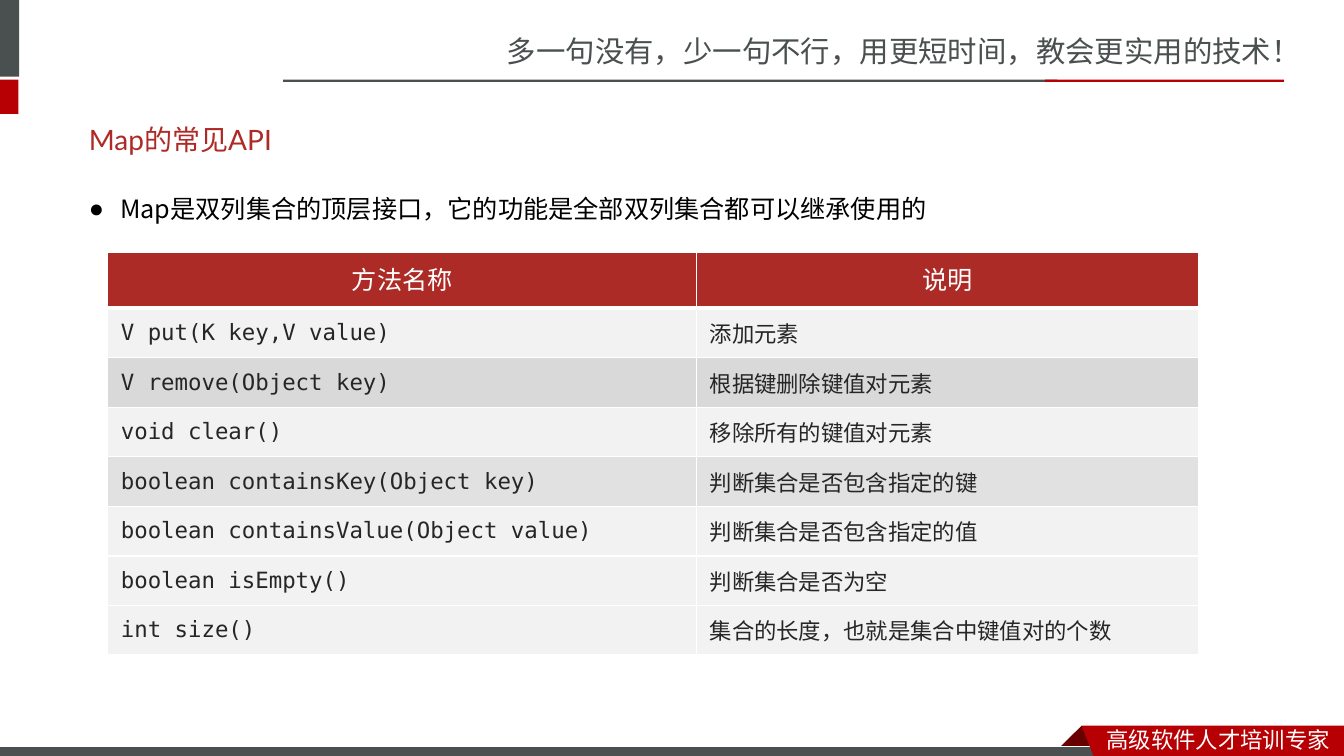
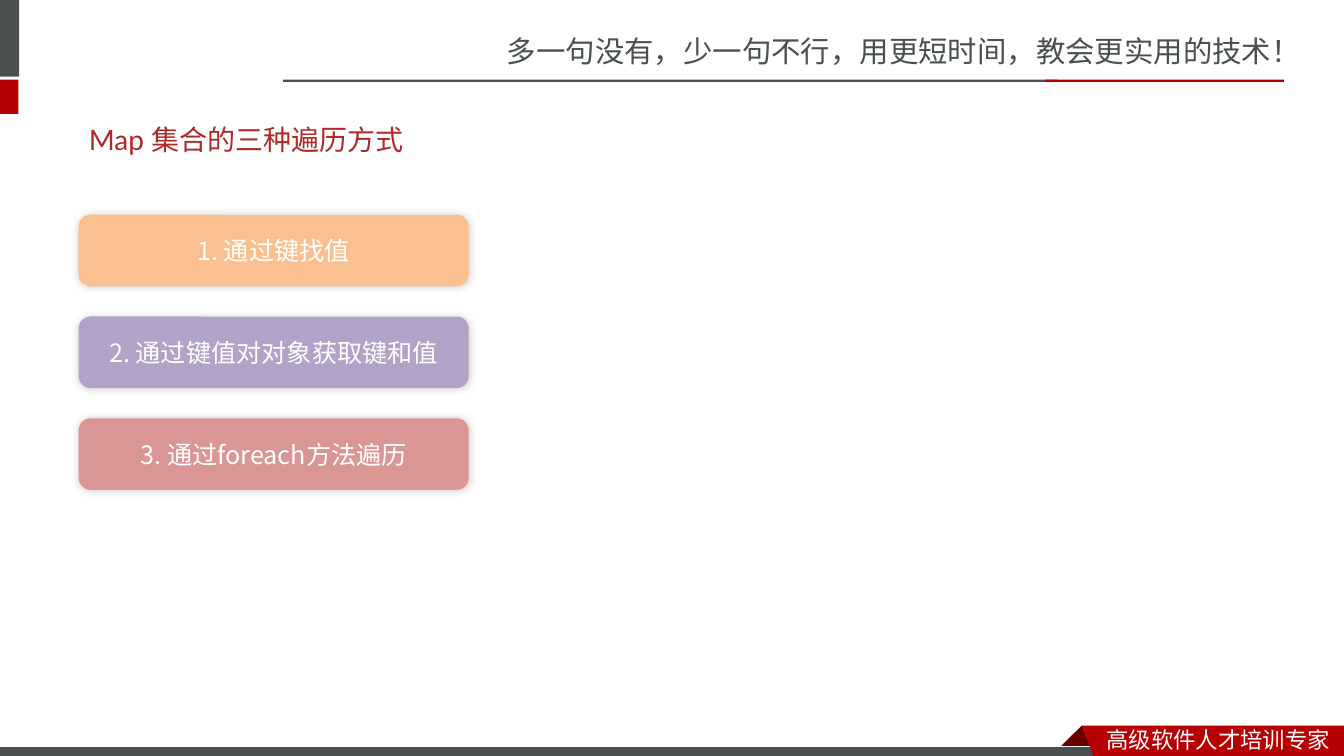
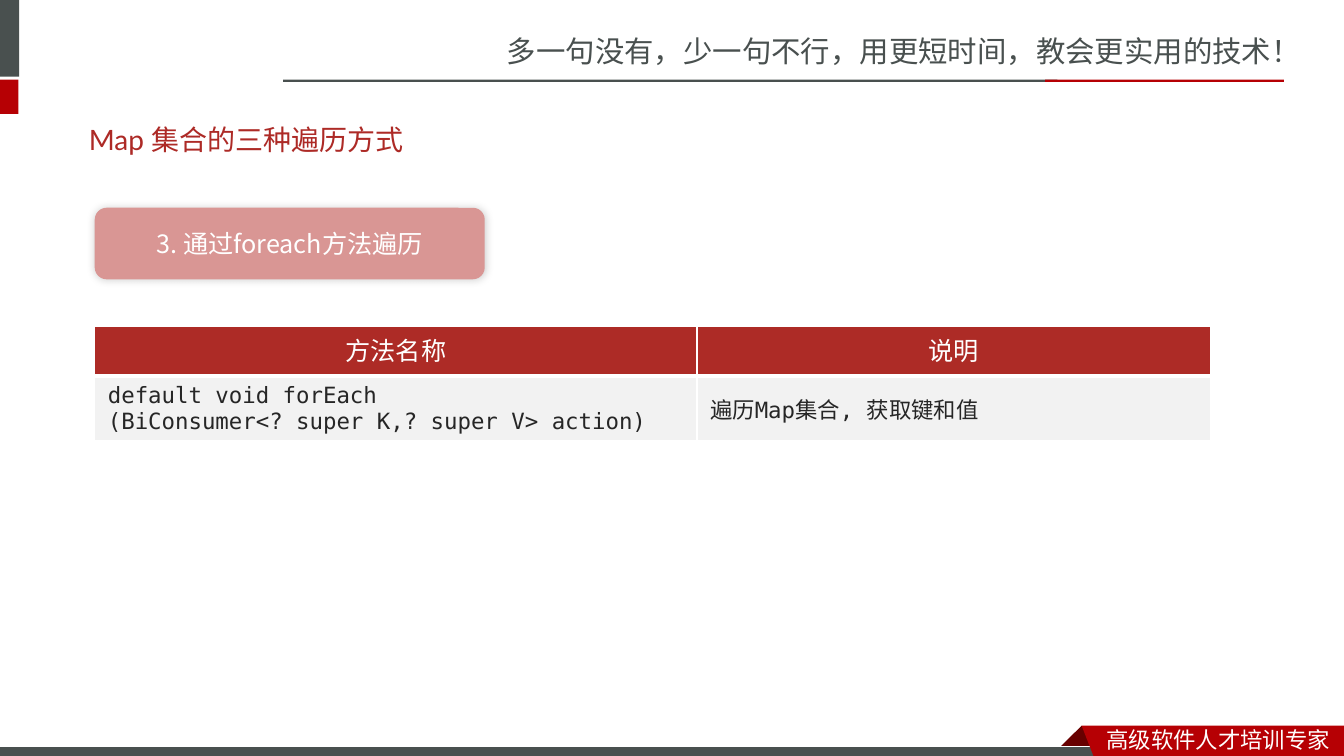
from lxml import etree
from pptx import Presentation
from pptx.dml.color import RGBColor
from pptx.enum.shapes import MSO_SHAPE
from pptx.enum.text import MSO_ANCHOR, MSO_AUTO_SIZE, PP_ALIGN
from pptx.oxml.ns import qn
from pptx.util import Pt

RECTANGLE, ROUNDED = MSO_SHAPE.RECTANGLE, MSO_SHAPE.ROUNDED_RECTANGLE
LEFT, CENTER = PP_ALIGN.LEFT, PP_ALIGN.CENTER
TOP, MIDDLE = MSO_ANCHOR.TOP, MSO_ANCHOR.MIDDLE
NO_AUTOFIT = MSO_AUTO_SIZE.NONE

WHITE = RGBColor(0xFF, 0xFF, 0xFF)
BLACK = RGBColor(0x00, 0x00, 0x00)
SLATE = RGBColor(0x49, 0x50, 0x4F)
BRIGHT_RED = RGBColor(0xB6, 0x00, 0x04)
DARK_RED = RGBColor(0x68, 0x00, 0x00)
TITLE_RED = RGBColor(0xAD, 0x2A, 0x26)
HEADER_RED = RGBColor(0xAD, 0x2B, 0x26)
INK = RGBColor(0x26, 0x26, 0x26)
LIGHT = RGBColor(0xF2, 0xF2, 0xF2)
GRAY = RGBColor(0xD9, 0xD9, 0xD9)
PALE_GRAY = RGBColor(0xE1, 0xE1, 0xE1)
ORANGE = RGBColor(0xFA, 0xC0, 0x90)
PURPLE = RGBColor(0xB3, 0xA2, 0xC7)
ROSE = RGBColor(0xD9, 0x96, 0x94)

SANS_SC, SANS_JP = "Noto Sans CJK SC", "Noto Sans CJK JP"
MONO, LATO, CALIBRI = "DejaVu Sans Mono", "Lato", "Calibri"

TITLE_ONLY, TITLE_AND_BODY = 5, 1
SLOGAN = "多一句没有，少一句不行，用更短时间，教会更实用的技术！"
FOOTER = "高级软件人才培训专家"
BARS = [
    (-4.3, 0, 18, 54.7, SLATE),
    (-4.3, 56.9, 17.5, 24.5, BRIGHT_RED),
    (202.3, 56.9, 553, 1.6, SLATE),
    (746.6, 56.9, 170.6, 1.6, BRIGHT_RED),
]
RIBBON_FOLD = [(772.6, 518.4), (788.4, 534.2), (787.7, 535), (757.4, 535), (756.7, 534.2)]
RIBBON = [(772.6, 518.4), (960, 518.4), (960, 542.9), (781.9, 542.2)]

API_TITLE = "Map的常见API"
API_POINT = "Map是双列集合的顶层接口，它的功能是全部双列集合都可以继承使用的"
LOOP_TITLE = "Map 集合的三种遍历方式"
HEADINGS = ("方法名称", "说明")
API_METHODS = [
    ("V put(K key,V value)", "添加元素"),
    ("V remove(Object key)", "根据键删除键值对元素"),
    ("void clear()", "移除所有的键值对元素"),
    ("boolean containsKey(Object key)", "判断集合是否包含指定的键"),
    ("boolean containsValue(Object value)", "判断集合是否包含指定的值"),
    ("boolean isEmpty()", "判断集合是否为空"),
    ("int size()", "集合的长度，也就是集合中键值对的个数"),
]
API_FILLS = [LIGHT, GRAY, LIGHT, PALE_GRAY, LIGHT, LIGHT, LIGHT]
FOREACH_METHODS = [
    ("default void forEach\n(BiConsumer<? super K,? super V> action)", "遍历Map集合, 获取键和值"),
]
LOOP_WAYS = [
    ("1. 通过键找值", ORANGE),
    ("2. 通过键值对对象获取键和值", PURPLE),
    ("3. 通过foreach方法遍历", ROSE),
]
BUTTON_WIDTH, BUTTON_HEIGHT, BUTTON_STEP = 278.6, 51.1, 72.7


def place(shape, left, top, width, height):
    shape.left, shape.top, shape.width, shape.height = map(Pt, (left, top, width, height))


def style_text(text_frame, name, size, color, alignment=LEFT):
    for paragraph in text_frame.paragraphs:
        paragraph.alignment = alignment
        font = paragraph.font
        font.name, font.size, font.color.rgb = name, Pt(size), color
        defaults = paragraph._p.pPr.find(qn("a:defRPr"))
        east_asian = etree.SubElement(defaults, qn("a:ea"))
        east_asian.set("typeface", name if name in (SANS_SC, SANS_JP) else SANS_JP)


def paint(shape, color):
    shape.shadow.inherit = False
    shape.fill.solid()
    shape.fill.fore_color.rgb = color
    shape.line.fill.background()


def add_box(slide, kind, left, top, width, height, color):
    shape = slide.shapes.add_shape(kind, Pt(left), Pt(top), Pt(width), Pt(height))
    paint(shape, color)
    return shape


def add_outline(slide, points, color):
    corners = [(Pt(x), Pt(y)) for x, y in points]
    builder = slide.shapes.build_freeform(*corners[0], scale=1.0)
    builder.add_line_segments(corners[1:], close=True)
    paint(builder.convert_to_shape(), color)


def add_label(slide, text, left, top, width, height, size, color):
    label = slide.shapes.add_textbox(Pt(left), Pt(top), Pt(width), Pt(height))
    label.text_frame.word_wrap = True
    label.text_frame.text = text
    style_text(label.text_frame, SANS_SC, size, color)


def decorate_master(presentation, slide):
    add_label(slide, SLOGAN, 355, 20.2, 605.5, 33.8, 21, SLATE)
    for bar in BARS:
        add_box(slide, RECTANGLE, *bar)
    add_outline(slide, RIBBON_FOLD, DARK_RED)
    base = add_box(slide, RECTANGLE, -0.7, 533.5, 792, 8.6, SLATE)
    base.line.color.rgb = WHITE
    base.line.width = Pt(0.75)
    add_outline(slide, RIBBON, BRIGHT_RED)
    add_label(slide, FOOTER, 783.4, 514.8, 176.6, 26.6, 16, WHITE)
    decorations = [shape for shape in slide.shapes if not shape.is_placeholder]
    for number, shape in enumerate(decorations, start=100):
        shape.element.nvSpPr.cNvPr.set("id", str(number))
        presentation.slide_master.shapes.element.append(shape.element)


def add_slide(presentation, layout, title, title_width):
    slide = presentation.slides.add_slide(presentation.slide_layouts[layout])
    shape = slide.shapes.title
    place(shape, 56.2, 79.2, title_width, 41)
    frame = shape.text_frame
    frame.text = title
    frame.auto_size, frame.vertical_anchor = NO_AUTOFIT, MIDDLE
    style_text(frame, LATO, 20, TITLE_RED)
    return slide


def fill_body(slide, text):
    body = slide.placeholders[1]
    place(body, 56.2, 113, 855.4, 45.4)
    frame = body.text_frame
    frame.text = text
    frame.auto_size, frame.vertical_anchor = NO_AUTOFIT, TOP
    style_text(frame, SANS_JP, 18, BLACK)
    paragraph = frame.paragraphs[0]
    paragraph.line_spacing, paragraph.space_before = 2.0, Pt(0)
    properties = paragraph._p.pPr
    properties.set("marL", str(Pt(22.5)))
    properties.set("indent", str(-Pt(22.5)))
    bullet = etree.Element(qn("a:buChar"), char="●")
    properties.find(qn("a:defRPr")).addprevious(bullet)


def add_button(slide, text, color, left, top):
    button = add_box(slide, ROUNDED, left, top, BUTTON_WIDTH, BUTTON_HEIGHT, color)
    button.text_frame.text = text
    button.text_frame.vertical_anchor = MIDDLE
    style_text(button.text_frame, SANS_JP, 18, WHITE, CENTER)
    effects = button.element.spPr.find(qn("a:effectLst"))
    shadow = etree.SubElement(effects, qn("a:outerShdw"), blurRad=str(Pt(6)), dist="0", dir="13500000")
    tint = etree.SubElement(shadow, qn("a:srgbClr"), val=str(BLACK))
    etree.SubElement(tint, qn("a:alpha"), val="20000")


def set_borders(cell, top, bottom):
    properties = cell._tc.get_or_add_tcPr()
    for index, (side, width) in enumerate([("L", 1), ("R", 1), ("T", top), ("B", bottom)]):
        line = etree.Element(qn("a:ln" + side), w=str(Pt(width)))
        fill = etree.SubElement(line, qn("a:solidFill"))
        etree.SubElement(fill, qn("a:srgbClr"), val=str(WHITE))
        properties.insert(index, line)


def add_method_table(slide, methods, fills, left, top, widths, heights, heading_font, note_font):
    rows = [HEADINGS, *methods]
    table = slide.shapes.add_table(
        len(rows), len(widths), Pt(left), Pt(top), Pt(sum(widths)), Pt(sum(heights))
    ).table
    table.first_row = table.horz_banding = False
    for column, width in zip(table.columns, widths):
        column.width = Pt(width)
    for index, (texts, height, color) in enumerate(zip(rows, heights, [HEADER_RED, *fills])):
        table.rows[index].height = Pt(height)
        for column, text in enumerate(texts):
            cell = table.cell(index, column)
            cell.text = text
            cell.vertical_anchor = MIDDLE
            cell.fill.solid()
            cell.fill.fore_color.rgb = color
            if index == 0:
                style_text(cell.text_frame, heading_font, 18, WHITE, CENTER)
                cell.text_frame.paragraphs[0].line_spacing = Pt(24)
            else:
                style_text(cell.text_frame, (MONO, note_font)[column], 16, INK)
                cell.margin_left = cell.margin_right = Pt(9.4)
                cell.margin_top = cell.margin_bottom = Pt(4.8)
            set_borders(cell, 3 if index == 1 else 1, 3 if index == 0 else 1)


def main():
    presentation = Presentation()
    presentation.slide_width, presentation.slide_height = Pt(960), Pt(540)

    api_slide = add_slide(presentation, TITLE_AND_BODY, API_TITLE, 176.4)
    decorate_master(presentation, api_slide)
    fill_body(api_slide, API_POINT)
    add_method_table(api_slide, API_METHODS, API_FILLS, 77, 180, (420.6, 358.9),
                     [40.2] + [35.4] * len(API_METHODS), CALIBRI, SANS_JP)

    ways_slide = add_slide(presentation, TITLE_ONLY, LOOP_TITLE, BUTTON_WIDTH)
    for index, (text, color) in enumerate(LOOP_WAYS):
        add_button(ways_slide, text, color, 56.2, 153.4 + index * BUTTON_STEP)

    foreach_slide = add_slide(presentation, TITLE_ONLY, LOOP_TITLE, BUTTON_WIDTH)
    add_button(foreach_slide, *LOOP_WAYS[-1], 67.7, 148.4)
    add_method_table(foreach_slide, FOREACH_METHODS, [LIGHT], 67.7, 233.4, (430.2, 366.6),
                     [35, 45], MONO, MONO)

    presentation.save("out.pptx")


if __name__ == "__main__":
    main()
